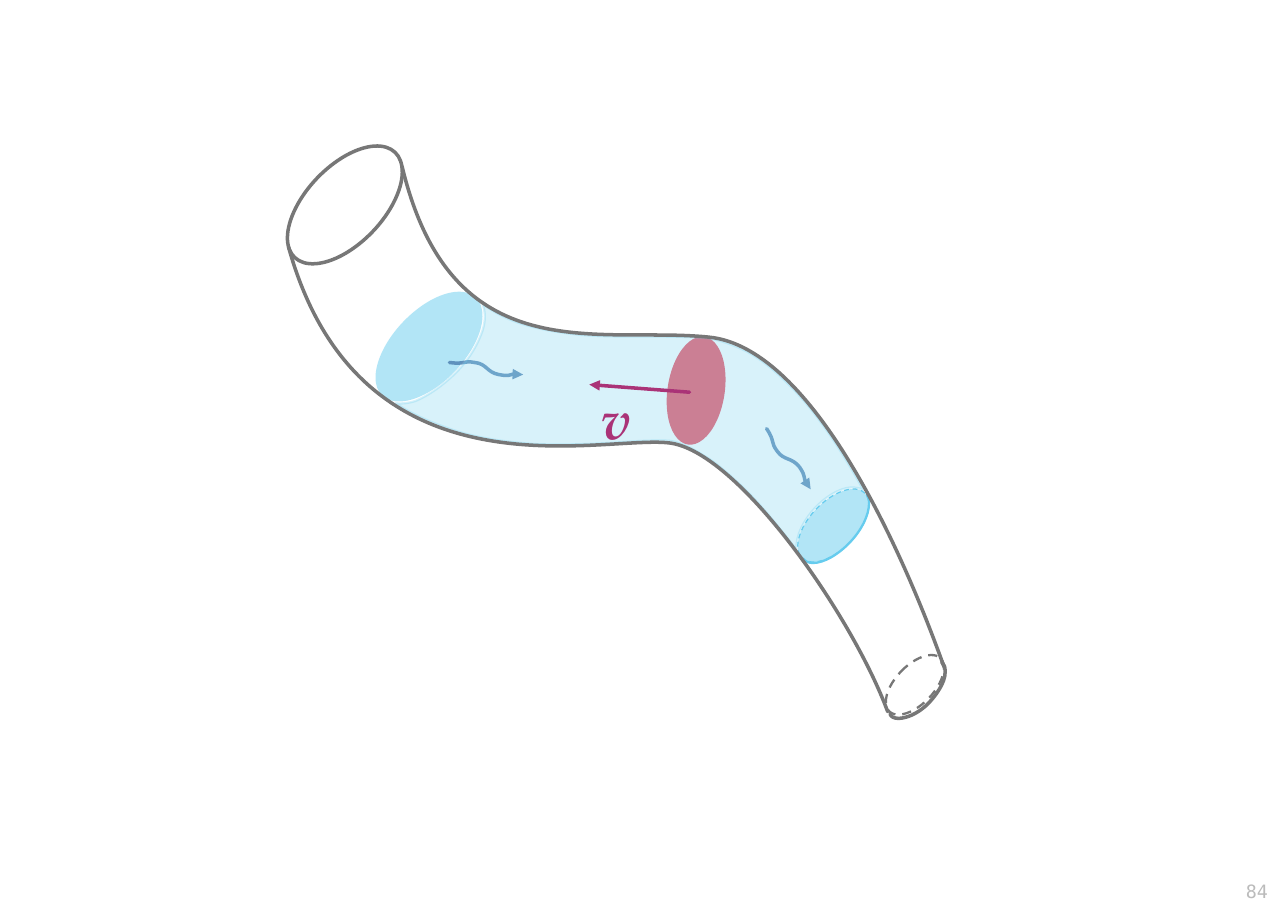
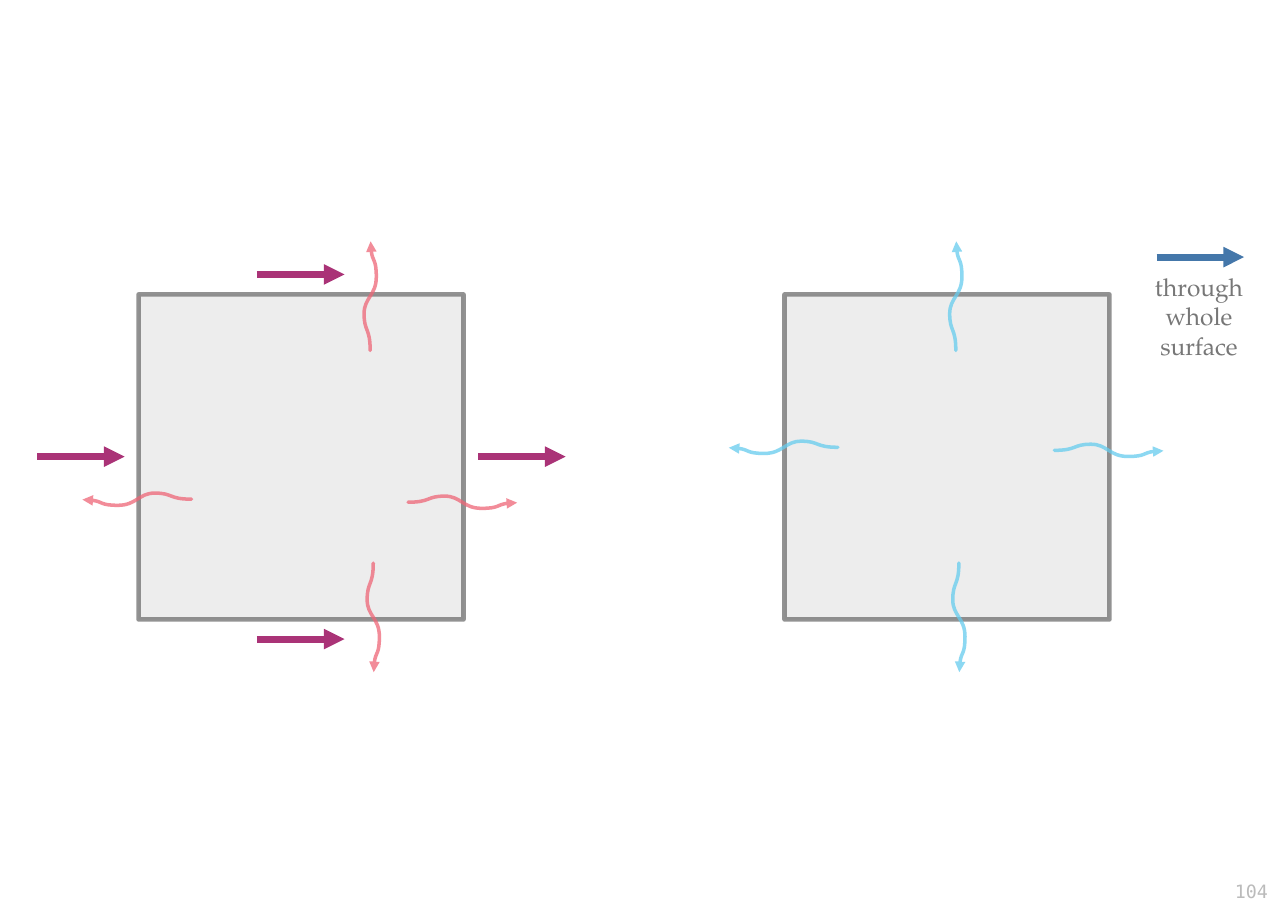
import dataclasses

import lxml.etree
import pptx
import pptx.dml.color
import pptx.enum.dml
import pptx.enum.shapes
import pptx.enum.text
import pptx.oxml.ns
import pptx.shapes.connector
import pptx.util

Pt = pptx.util.Pt
qn = pptx.oxml.ns.qn


@dataclasses.dataclass(frozen=True)
class Theme:
    grey: str = "777777"
    pale: str = "BBBBBB"
    cyan: str = "66CCEE"
    blue: str = "4477AA"
    red: str = "EE6677"
    purple: str = "AA3377"
    mono: str = "DejaVu Sans Mono"
    serif: str = "TeX Gyre Pagella"
    number_size: float = 12
    label_size: float = 16
    symbol_size: float = 36
    thin: float = 1.5
    medium: float = 2.3
    thick: float = 4.5


theme = Theme()


def paint(shape, fill=None, line=None, width=theme.medium, dashed=False, arrow=False):
    """Set fill and line, each a (colour, opacity in percent) pair or None."""
    parts = [(shape.line.fill, line, "./p:spPr/a:ln/a:solidFill/a:srgbClr")]
    if not isinstance(shape, pptx.shapes.connector.Connector):
        parts.append((shape.fill, fill, "./p:spPr/a:solidFill/a:srgbClr"))
    for target, tone, colour_path in parts:
        if tone is None:
            target.background()
            continue
        colour, opacity = tone
        target.solid()
        target.fore_color.rgb = pptx.dml.color.RGBColor.from_string(colour)
        if opacity < 100:
            node = shape.element.xpath(colour_path)[0]
            lxml.etree.SubElement(node, qn("a:alpha"), val=str(opacity * 1000))
    if line:
        shape.line.width = Pt(width)
        outline = shape.element.spPr.find(qn("a:ln"))
        if dashed:
            shape.line.dash_style = pptx.enum.dml.MSO_LINE.DASH
        elif not arrow or width < theme.thick:
            outline.set("cap", "rnd")
        lxml.etree.SubElement(outline, qn("a:round"))
        if arrow:
            lxml.etree.SubElement(outline, qn("a:tailEnd"), type="triangle")
    lxml.etree.SubElement(shape.element.spPr, qn("a:effectLst"))


def add_curve(page, points, closed=False):
    """Draw cubic curves: a start point, then three points for each curve."""
    places = [(Pt(x), Pt(y)) for x, y in points]
    builder = page.shapes.build_freeform(*places[0], scale=1.0)
    builder.add_line_segments(places[1:], close=closed)
    shape = builder.convert_to_shape()
    segments = shape.element.xpath(".//a:path/a:lnTo")
    for first in range(0, len(segments), 3):
        curve = lxml.etree.Element(qn("a:cubicBezTo"))
        segments[first].addprevious(curve)
        for segment in segments[first:first + 3]:
            curve.append(segment[0])
            segment.getparent().remove(segment)
    return shape


deck = pptx.Presentation()
deck.slide_width, deck.slide_height = Pt(841.89), Pt(595.28)
pipe_page, square_page = [deck.slides.add_slide(deck.slide_layouts[6]) for _ in range(2)]

# Pipe: the water is drawn over the discs, the walls over the water
exit_disc = (529.2, 313.9, 31, 59, 43.7, (theme.cyan, 50), (theme.cyan, 100), 0.79, True)
moving_disc = (436.3, 219.6, 37.4, 71.3, 8.7, (theme.red, 100), None, 0, False)
entry_disc = (257, 182.2, 46.8, 88.6, 43.7, (theme.cyan, 50), None, 0, False)
pipe_mouth = (200.2, 86.4, 50.4, 95, 43.7, None, (theme.grey, 100), theme.medium, False)
pipe_end = (585.4, 423.4, 25.2, 48.2, 43.7, None, (theme.grey, 100), theme.thin, True)
for left, top, width, height, angle, fill, line, weight, dashed in (
        exit_disc, moving_disc, entry_disc, pipe_mouth, pipe_end):
    disc = pipe_page.shapes.add_shape(
        pptx.enum.shapes.MSO_SHAPE.OVAL, Pt(left), Pt(top), Pt(width), Pt(height))
    disc.rotation = angle
    paint(disc, fill, line, weight, dashed)

water = [
    (564.5, 320.4),
    # back rim of the exit disc
    (560.9, 318.2), (555.8, 318), (550.8, 319.7),
    (545, 321.6), (538.5, 325.9), (532.8, 331.9),
    (525.5, 339.8), (520, 350), (520.6, 359.3),
    # lower wall
    (508.3, 343.4), (496.1, 328.3), (483.8, 316.8),
    (475.2, 308.9), (467.3, 301.7), (459.4, 297.4),
    (451.4, 292.2), (443.7, 288.8), (437, 288),
    (425.5, 287.6), (413.5, 288.4), (400.3, 289.4),
    (385.2, 290.2), (367.9, 290.9), (349.2, 290.2),
    (330.5, 288.7), (311, 286.6), (291.6, 279.4),
    (280.5, 275.5), (269, 270.5), (258.5, 263.5),
    # front rim of the entry disc
    (262, 264), (267, 263.5), (271.4, 262.1),
    (280.1, 258.5), (290, 251.5), (298.1, 243.4),
    (305.5, 236), (311.8, 226.5), (315.4, 216),
    (317.5, 209.5), (317.3, 203.5), (315.4, 198.7),
    # upper wall
    (322.6, 203.8), (330.5, 208.1), (339.1, 211),
    (352.1, 215.3), (365.8, 217.4), (380.2, 218.9),
    (408.2, 221), (437, 218.9), (463, 221),
    (471.6, 222.5), (479.5, 225.4), (488.2, 229.7),
    (496.1, 234), (504.7, 240.5), (511.9, 247.7),
    (532.1, 266.4), (549.4, 293), (564.5, 320.4),
]
exit_rim = [
    (524.9, 365),
    (526.5, 367), (528.8, 367.9), (531.4, 367.9),
    (538.5, 367.9), (548, 362.5), (555.8, 354.2),
    (563, 346.5), (568.1, 337), (568.1, 328.5),
    (568.1, 326), (567.6, 324.5), (566.6, 323.3),
]
lower_wall = [
    (188.6, 161.3),
    (235.4, 329.8), (392.4, 284.4), (437, 289.4),
    (481.7, 293.8), (557.3, 402.5), (580.3, 465.1),
]
upper_wall = [
    (262.8, 108.7),
    (295.2, 244.1), (391, 213.1), (463, 220.3),
    (534.2, 226.8), (594.7, 373), (617, 435.6),
]
end_rim = [
    (581.8, 466.6),
    (582.5, 468.5), (584.5, 469.4), (587.5, 469.4),
    (593, 469.2), (599.5, 466.2), (604.8, 461.5),
    (608.5, 458.2), (611.5, 454.5), (614.2, 450),
    (616.3, 446.5), (617.8, 442.8), (617.8, 439.2),
    (617.8, 436), (617.3, 434), (615.6, 432.7),
]
exit_flow = [
    (501.1, 280.1),
    (506.9, 288.7), (503.3, 288.7), (508.3, 295.2),
    (512.6, 301), (517.7, 298.8), (522.7, 305.3),
    (527, 311.8), (523.4, 311.8), (529.9, 319.7),
]
entry_flow = [
    (293.8, 236.9),
    (304.6, 238.3), (302.4, 235.4), (310.3, 236.9),
    (318.2, 237.6), (318.2, 243.4), (326.2, 244.8),
    (334.1, 246.2), (331.9, 243.4), (342, 244.8),
]
for flow in (exit_flow, entry_flow):
    paint(add_curve(pipe_page, flow), line=(theme.blue, 75), arrow=True)
paint(add_curve(pipe_page, water, closed=True), (theme.cyan, 25), (theme.cyan, 25), theme.thin)
paint(add_curve(pipe_page, exit_rim), line=(theme.cyan, 100), width=theme.thin)
for wall in (lower_wall, upper_wall, end_rim):
    paint(add_curve(pipe_page, wall), line=(theme.grey, 100))

# Squares
side, square_top = 212.4, 192.4
for left in (90.6, 512.8):
    square = square_page.shapes.add_shape(
        pptx.enum.shapes.MSO_SHAPE.RECTANGLE, Pt(left), Pt(square_top), Pt(side), Pt(side))
    paint(square, (theme.pale, 25), (theme.grey, 80), 3)

# Straight arrows
reach = 57.2
arrows = [(pipe_page, 450.7, 256.3, 385.2, 251.3, theme.purple, theme.medium)]
for x, y, colour in ((168, 179.3, theme.purple), (168, 417.6, theme.purple),
                     (24.3, 298.4, theme.purple), (312.5, 298.4, theme.purple),
                     (756, 168, theme.blue)):
    arrows.append((square_page, x, y, x + reach, y, colour, theme.thick))
for page, x, y, end_x, end_y, colour, weight in arrows:
    arrow = page.shapes.add_connector(
        pptx.enum.shapes.MSO_CONNECTOR.STRAIGHT, Pt(x), Pt(y), Pt(end_x), Pt(end_y))
    paint(arrow, line=(colour, 100), width=weight, arrow=True)

# Wavy arrows: one wave as (along, across), turned to each of four directions
wave = [(0, 0), (15, 0), (12, -4), (24, -4), (34.5, -4),
        (36, 4), (48, 4), (60, 4), (57, 0.5), (71.3, 0.3)]
gap_x, gap_y, drift = 141.5, 138.9, 2
for colour, up_x, up_y, left_x, left_y in (
        (theme.red, 242, 229, 125.2, 326.2), (theme.cyan, 624.8, 229, 547.7, 292.3)):
    for x, y, step_x, step_y in ((up_x, up_y, 0, -1),
                                 (up_x + drift, up_y + gap_y, 0, 1),
                                 (left_x, left_y, -1, 0),
                                 (left_x + gap_x, left_y + drift, 1, 0)):
        points = [(x + along * step_x + across * abs(step_y),
                   y + along * step_y + across * abs(step_x)) for along, across in wave]
        paint(add_curve(square_page, points), line=(colour, 75), arrow=True)

# Text
align = pptx.enum.text.PP_ALIGN
number_box = (763.9, 571.7, 72, 20.9)
number_style = (align.RIGHT, theme.mono, theme.number_size, theme.pale, False)
symbol_style = (align.LEFT, theme.serif, theme.symbol_size, theme.purple, True)
label_style = (align.CENTER, theme.serif, theme.label_size, theme.grey, False)
for page, place, lines, (alignment, face, size, colour, emphasis) in (
        (pipe_page, number_box, ["84"], number_style),
        (square_page, number_box, ["104"], number_style),
        (pipe_page, (385.9, 247.7, 34.6, 56.2), ["v"], symbol_style),
        (square_page, (745.9, 174.2, 75.6, 72), ["through", "whole", "surface"], label_style)):
    box = page.shapes.add_textbox(*[Pt(length) for length in place])
    frame = box.text_frame
    frame.word_wrap = False
    frame.auto_size = pptx.enum.text.MSO_AUTO_SIZE.SHAPE_TO_FIT_TEXT
    frame.text = "\n".join(lines)
    for para in frame.paragraphs:
        para.alignment = alignment
        para.font.name = face
        para.font.size = Pt(size)
        para.font.bold = para.font.italic = emphasis
        para.font.color.rgb = pptx.dml.color.RGBColor.from_string(colour)

deck.save("out.pptx")
